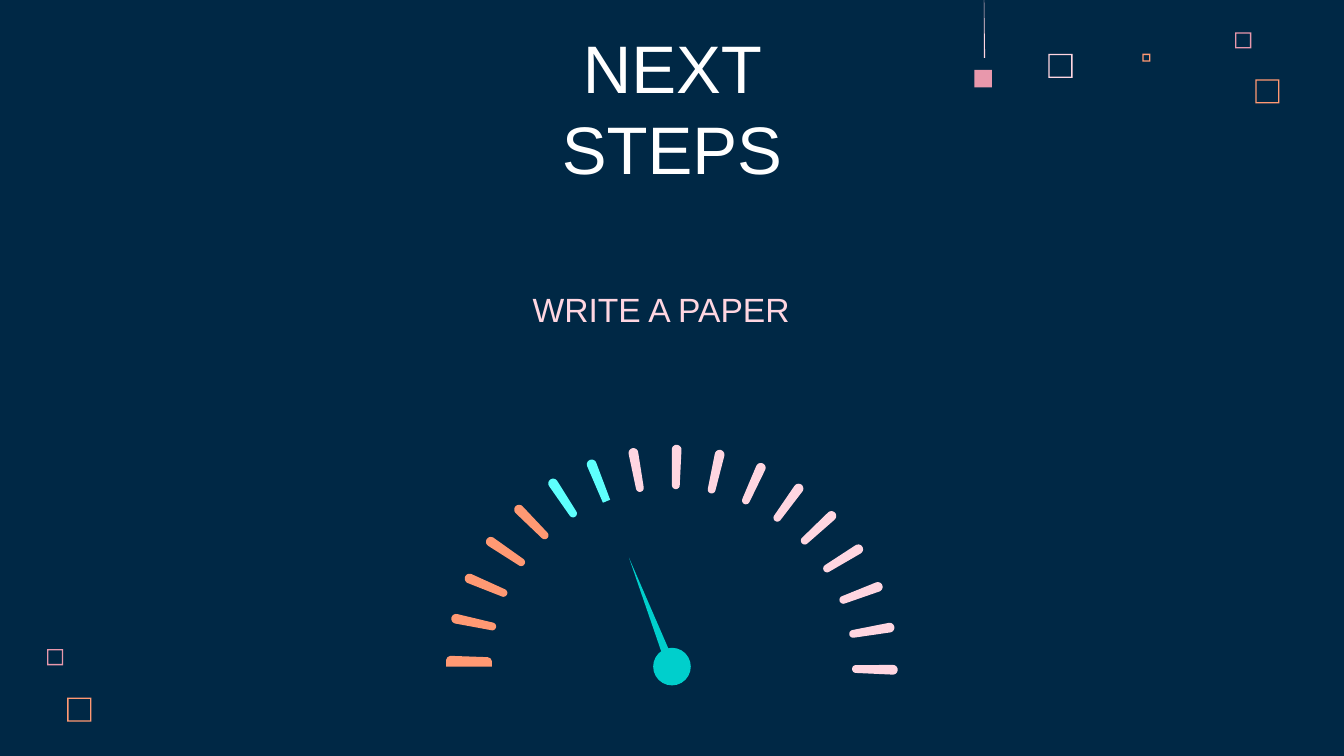
from math import cos, sin, pi, radians, atan2

from pptx import Presentation
from pptx.dml.color import RGBColor
from pptx.enum.shapes import MSO_SHAPE as Shape
from pptx.enum.text import MSO_ANCHOR as Anchor, PP_ALIGN as Align
from pptx.util import Pt

PX = 9144  # EMU in one px, at 100 px to the inch

NAVY, WHITE = "002845", "FFFFFF"
PINK, ROSE, ORANGE = "FFD6E1", "E898AC", "FF9973"
CYAN, TEAL = "5EFFFD", "00CFCC"

# left, top, size, colour
FRAMES = [
    (780, 40, 18, PINK),
    (919, 24, 12, ROSE),
    (850, 40, 6, ORANGE),
    (934, 59, 18, ORANGE),
    (35, 483, 12, ROSE),
    (50, 519, 18, ORANGE),
]

CENTRE = (500, 495)
OUTER, INNER = (168, 164), (134, 131)  # horizontal and vertical radii
FIRST_ANGLE, STEP = 1.2, 11.25  # degrees, clockwise from the left
TICK_COLORS = [ORANGE] * 5 + [CYAN] * 2 + [PINK] * 10
SQUARE_TICK = 6  # its inner end has no rounding
FLAT_TICK = [(332, 496), (332, 491), (333, 489), (335, 488),
             (363, 489), (365, 490), (366, 492), (366, 496)]


def color(hex_string):
    return RGBColor.from_string(hex_string)


def paint(shape, fill):
    shape.shadow.inherit = False
    shape.fill.solid()
    shape.fill.fore_color.rgb = color(fill)
    shape.line.fill.background()


def add_preset(slide, kind, left, top, size, fill):
    shape = slide.shapes.add_shape(kind, left * PX, top * PX, size * PX, size * PX)
    paint(shape, fill)
    return shape


def add_frame(slide, left, top, size, fill):
    """Add a hollow square with sides 1 px thick."""
    frame = add_preset(slide, Shape.FRAME, left, top, size, fill)
    frame.adjustments[0] = 1 / size


def add_polygon(slide, points, fill):
    start, *others = [(x * PX, y * PX) for x, y in points]
    builder = slide.shapes.build_freeform(*start, scale=1.0)
    builder.add_line_segments(others, close=True)
    paint(builder.convert_to_shape(), fill)


def cap(x, y, radius, direction, steps):
    """Return points of a half circle that bulges towards direction."""
    turns = [direction - pi / 2 + pi * i / steps for i in range(steps + 1)]
    return [(x + radius * cos(turn), y + radius * sin(turn)) for turn in turns]


def on_dial(radii, angle):
    return (CENTRE[0] - radii[0] * cos(angle), CENTRE[1] - radii[1] * sin(angle))


def add_tick(slide, index, fill):
    angle = radians(FIRST_ANGLE + index * STEP)
    outer_width, inner_width = 3.6, 2.9  # half widths
    outer = on_dial([r - outer_width for r in OUTER], angle)
    is_square = index == SQUARE_TICK
    inner = on_dial([r + (0 if is_square else inner_width) for r in INNER], angle)
    outward = atan2(outer[1] - inner[1], outer[0] - inner[0])
    points = cap(*outer, outer_width, outward, 10)
    points += cap(*inner, inner_width, outward + pi, 1 if is_square else 10)
    add_polygon(slide, points, fill)


def add_text(slide, text, left, top, width, height, size, font_color, anchor):
    box = slide.shapes.add_textbox(left * PX, top * PX, width * PX, height * PX)
    frame = box.text_frame
    frame.word_wrap = True
    frame.vertical_anchor = anchor
    frame.margin_left = frame.margin_right = 10 * PX
    frame.margin_top = frame.margin_bottom = 10 * PX
    paragraph = frame.paragraphs[0]
    paragraph.text = text
    paragraph.alignment = Align.CENTER
    paragraph.font.name = "Arial"
    paragraph.font.size = Pt(size)
    paragraph.font.color.rgb = color(font_color)


def add_gauge(slide):
    add_polygon(slide, FLAT_TICK, TICK_COLORS[0])
    for index, fill in enumerate(TICK_COLORS[1:], start=1):
        add_tick(slide, index, fill)
    add_preset(slide, Shape.OVAL, 486, 482, 28, TEAL)
    needle = [(468, 415), (500, 508), (507, 505)]
    add_polygon(slide, needle, TEAL)


def main():
    deck = Presentation()
    deck.slide_width = 1000 * PX
    deck.slide_height = deck.slide_width * 9 // 16
    slide = deck.slides.add_slide(deck.slide_layouts[6])
    slide.background.fill.solid()
    slide.background.fill.fore_color.rgb = color(NAVY)

    for frame in FRAMES:
        add_frame(slide, *frame)
    add_preset(slide, Shape.RECTANGLE, 725, 52, 13, ROSE)
    thread = [(732, -18), (732, 43), (733, 43)]
    add_polygon(slide, thread, PINK)

    add_gauge(slide)
    add_text(slide, "NEXT STEPS", 362, 20, 276, 119, 36, WHITE, Anchor.MIDDLE)
    add_text(slide, "WRITE A PAPER", 277, 208, 430, 47, 18, PINK, Anchor.BOTTOM)
    deck.save("out.pptx")


if __name__ == "__main__":
    main()
